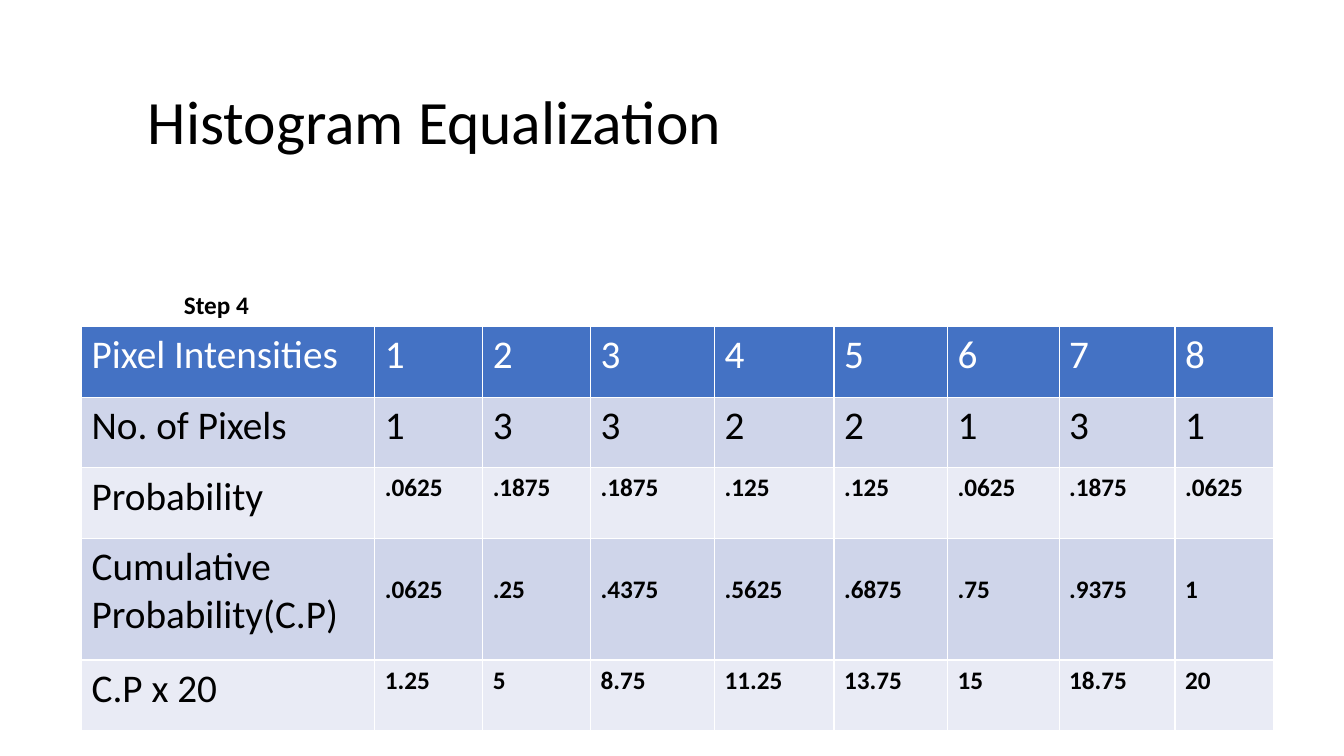
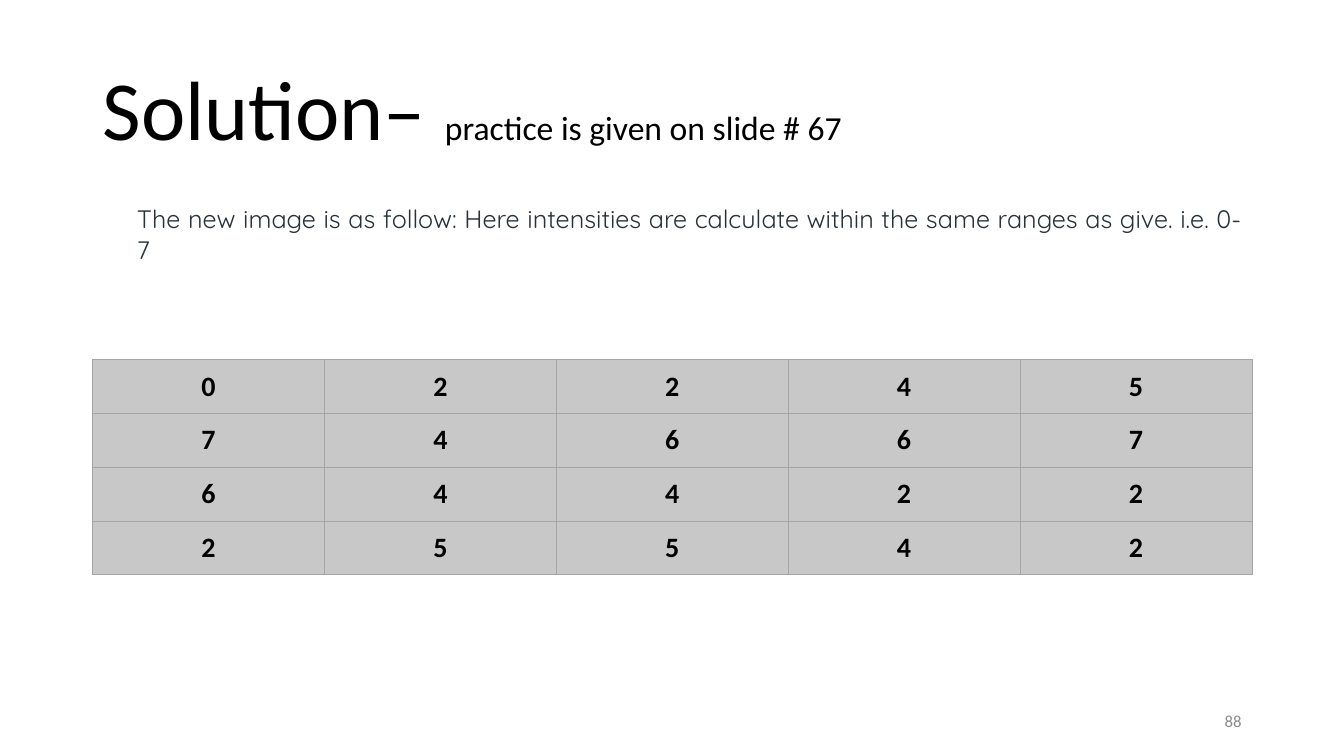
import pptx
import pptx.dml.color
import pptx.enum.text
import pptx.oxml
import pptx.oxml.ns
import pptx.util

Pt = pptx.util.Pt
ALIGN = pptx.enum.text.PP_ALIGN
ANCHOR = pptx.enum.text.MSO_ANCHOR


def color(hex_text):
    return pptx.dml.color.RGBColor.from_string(hex_text)


class Lecture:
    """Holds the deck, its style and the page being filled."""

    font = "Calibri"
    ink = "000000"
    muted = "8C8C8C"

    def __init__(self):
        self.deck = pptx.Presentation()
        self.deck.slide_width, self.deck.slide_height = Pt(960), Pt(540)
        self.page = None

    def new_page(self, number):
        self.page = self.deck.slides.add_slide(self.deck.slide_layouts[6])
        self.text([(str(number), 12)], (678, 500.4, 216, 28.8),
                  ink=self.muted, align=ALIGN.RIGHT, anchor=ANCHOR.MIDDLE)

    def style(self, span, size, ink=None, bold=False, font=None):
        span.font.name = font or self.font
        span.font.size = Pt(size)
        span.font.bold = bold
        span.font.color.rgb = color(ink or self.ink)

    def text(self, parts, place, ink=None, bold=False, font=None,
             align=ALIGN.LEFT, anchor=ANCHOR.TOP):
        """Add one paragraph made of (wording, size) parts."""
        box = self.page.shapes.add_textbox(*map(Pt, place))
        frame = box.text_frame
        frame.word_wrap = True
        frame.vertical_anchor = anchor
        para = frame.paragraphs[0]
        para.alignment = align
        for wording, size in parts:
            span = para.add_run()
            span.text = wording
            self.style(span, size, ink, bold, font)
        return para

    def title(self, parts, place):
        self.text(parts, place, anchor=ANCHOR.MIDDLE).line_spacing = 0.9

    def table(self, left, top, widths, heights, header):
        place = (left, top, sum(widths), sum(heights))
        table = self.page.shapes.add_table(
            len(heights), len(widths), *map(Pt, place)).table
        table.first_row = header
        table.horz_banding = False
        for column, width in zip(table.columns, widths):
            column.width = Pt(width)
        for row, height in zip(table.rows, heights):
            row.height = Pt(height)
        return table

    def cell(self, cell, wording, size, fill, border, line, ink=None,
             bold=False, align=ALIGN.LEFT):
        properties = cell._tc.get_or_add_tcPr()
        for side in "LRTB":
            properties.append(pptx.oxml.parse_xml(
                f'<a:ln{side} {pptx.oxml.ns.nsdecls("a")} w="{Pt(line)}">'
                f'<a:solidFill><a:srgbClr val="{border}"/></a:solidFill>'
                f'</a:ln{side}>'))
        cell.fill.solid()
        cell.fill.fore_color.rgb = color(fill)
        cell.text_frame.text = wording
        for para in cell.text_frame.paragraphs:
            para.alignment = align
            for span in para.runs:
                self.style(span, size, ink, bold)


def equalization_page(lecture):
    lecture.new_page(59)
    lecture.title([("Histogram Equalization", 44)], (98.6, 30.2, 801.4, 117.4))
    lecture.text([("Step 4", 18)], (124.3, 203, 72, 28.8), bold=True)

    rows = [
        ("Pixel Intensities", "1 2 3 4 5 6 7 8"),
        ("No. of Pixels", "1 3 3 2 2 1 3 1"),
        ("Probability", ".0625 .1875 .1875 .125 .125 .0625 .1875 .0625"),
        ("Cumulative\nProbability(C.P)",
         ".0625 .25 .4375 .5625 .6875 .75 .9375 1"),
        ("C.P x 20", "1.25 5 8.75 11.25 13.75 15 18.75 20"),
    ]
    widths = [209.5, 77, 77, 88.6, 85.4, 81.2, 79.6, 82.8, 70.6]
    heights = [50.4, 50.4, 50.4, 87, 50.4]
    table = lecture.table(58.3, 233.3, widths, heights, header=True)
    for i, (label, values) in enumerate(rows):
        fill = "4472C4" if i == 0 else ("E9EBF5", "CFD5EA")[i % 2]
        for j, wording in enumerate([label] + values.split()):
            result = i >= 2 and j > 0
            cell = table.cell(i, j)
            lecture.cell(cell, wording, 18 if result else 28, fill,
                         "FFFFFF", 1, ink="FFFFFF" if i == 0 else None,
                         bold=result)
            if result and "\n" in label:
                cell.margin_top = Pt(25.6)


def solution_page(lecture):
    lecture.new_page(88)
    lecture.title([("Solution– ", 60), ("practice is given on slide # 67", 24)],
                  (66.2, 28.8, 828, 104.4))

    pixels = ["02245", "74667", "64422", "25542"]
    table = lecture.table(66.2, 257, [165.6] * 5, [38.4] * 4, header=False)
    for i, row in enumerate(pixels):
        for j, wording in enumerate(row):
            cell = table.cell(i, j)
            lecture.cell(cell, wording, 20, "C8C8C8", "A5A5A5", 0.5,
                         bold=True, align=ALIGN.CENTER)
            cell.vertical_anchor = ANCHOR.MIDDLE
            cell.margin_left = cell.margin_right = Pt(5)
            cell.margin_top = cell.margin_bottom = Pt(6.9)

    lecture.text([("The new image is as follow: Here intensities are calculate "
                   "within the same ranges as give. i.e. 0-7", 18)],
                 (90.7, 142, 803.5, 52), ink="273239", font="Quicksand",
                 align=ALIGN.JUSTIFY)


def main():
    lecture = Lecture()
    equalization_page(lecture)
    solution_page(lecture)
    lecture.deck.save("out.pptx")


if __name__ == "__main__":
    main()
